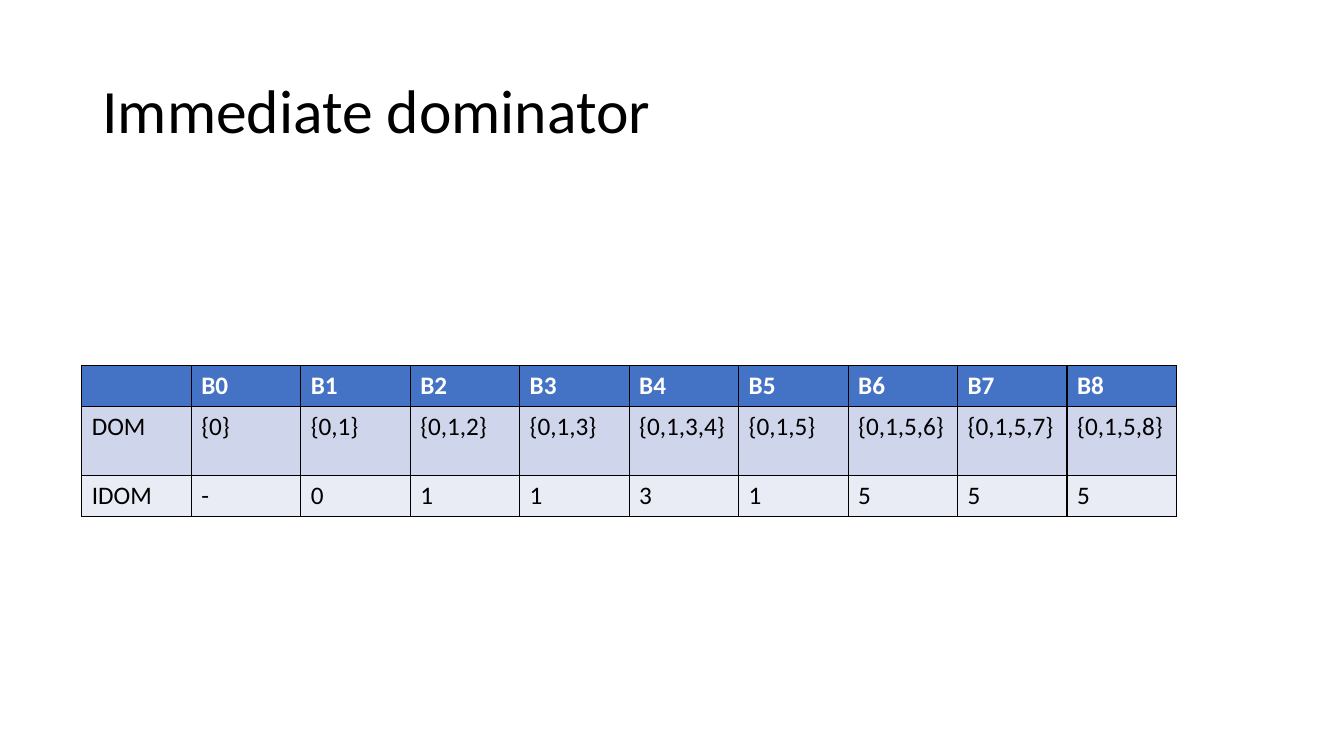
import pptx
import pptx.dml.color
import pptx.enum.text
import pptx.oxml
import pptx.oxml.ns
import pptx.util
from pptx.util import Cm

FONT = "Calibri"
COLORS = {
    "text": "000000",
    "border": "000000",
    "header_text": "FFFFFF",
    "header": "4472C4",
    "dom": "CFD5EA",
    "idom": "E9EBF5",
}

# Dominator sets and immediate dominators of blocks B0 to B8
DOM_SETS = ["{0}", "{0,1}", "{0,1,2}", "{0,1,3}", "{0,1,3,4}",
            "{0,1,5}", "{0,1,5,6}", "{0,1,5,7}", "{0,1,5,8}"]
IDOMS = ["-", "0", "1", "1", "3", "1", "5", "5", "5"]
BLOCKS = [f"B{number}" for number in range(len(DOM_SETS))]

# Row label, values, fill, text colour, height
ROWS = [
    ("", BLOCKS, "header", "header_text", Cm(1.03)),
    ("DOM", DOM_SETS, "dom", "text", Cm(1.73)),
    ("IDOM", IDOMS, "idom", "text", Cm(1.03)),
]


def rgb(name):
    return pptx.dml.color.RGBColor.from_string(COLORS[name])


def format_font(paragraph, size, color, bold=False):
    paragraph.font.name = FONT
    paragraph.font.size = pptx.util.Pt(size)
    paragraph.font.bold = bold
    paragraph.font.color.rgb = rgb(color)


def add_title(slide, wording):
    title = slide.shapes.title
    title.left, title.top = Cm(2.33), Cm(1.01)
    title.width, title.height = Cm(29.21), Cm(3.68)
    title.text_frame.text = wording
    title.text_frame.vertical_anchor = pptx.enum.text.MSO_ANCHOR.MIDDLE
    heading = title.text_frame.paragraphs[0]
    heading.alignment = pptx.enum.text.PP_ALIGN.LEFT
    heading.line_spacing = 0.9
    format_font(heading, 44, "text")


def add_borders(cell):
    # Border lines must come before the fill in the cell properties
    properties = cell._tc.get_or_add_tcPr()
    for position, side in enumerate(("lnL", "lnR", "lnT", "lnB")):
        border = pptx.oxml.parse_xml(
            f'<a:{side} {pptx.oxml.ns.nsdecls("a")} w="{pptx.util.Pt(1)}">'
            f'<a:solidFill><a:srgbClr val="{COLORS["border"]}"/></a:solidFill>'
            f'</a:{side}>')
        properties.insert(position, border)


def fill_cell(cell, wording, fill, color, bold):
    cell.text = wording
    cell.fill.solid()
    cell.fill.fore_color.rgb = rgb(fill)
    format_font(cell.text_frame.paragraphs[0], 18, color, bold)
    add_borders(cell)


def add_dominator_table(slide):
    column_count = len(BLOCKS) + 1
    column_width = Cm(2.76)
    dominators = slide.shapes.add_table(
        len(ROWS), column_count, Cm(2.06), Cm(9.22),
        column_width * column_count, sum(row[-1] for row in ROWS)).table
    for column in dominators.columns:
        column.width = column_width
    for row_index, (label, values, fill, color, height) in enumerate(ROWS):
        dominators.rows[row_index].height = height
        for column_index, wording in enumerate([label] + values):
            fill_cell(dominators.cell(row_index, column_index), wording,
                      fill, color, bold=row_index == 0)


def main():
    deck = pptx.Presentation()
    deck.slide_width, deck.slide_height = Cm(33.87), Cm(19.05)
    slide = deck.slides.add_slide(deck.slide_layouts[5])
    add_title(slide, "Immediate dominator")
    add_dominator_table(slide)
    deck.save("out.pptx")


if __name__ == "__main__":
    main()
